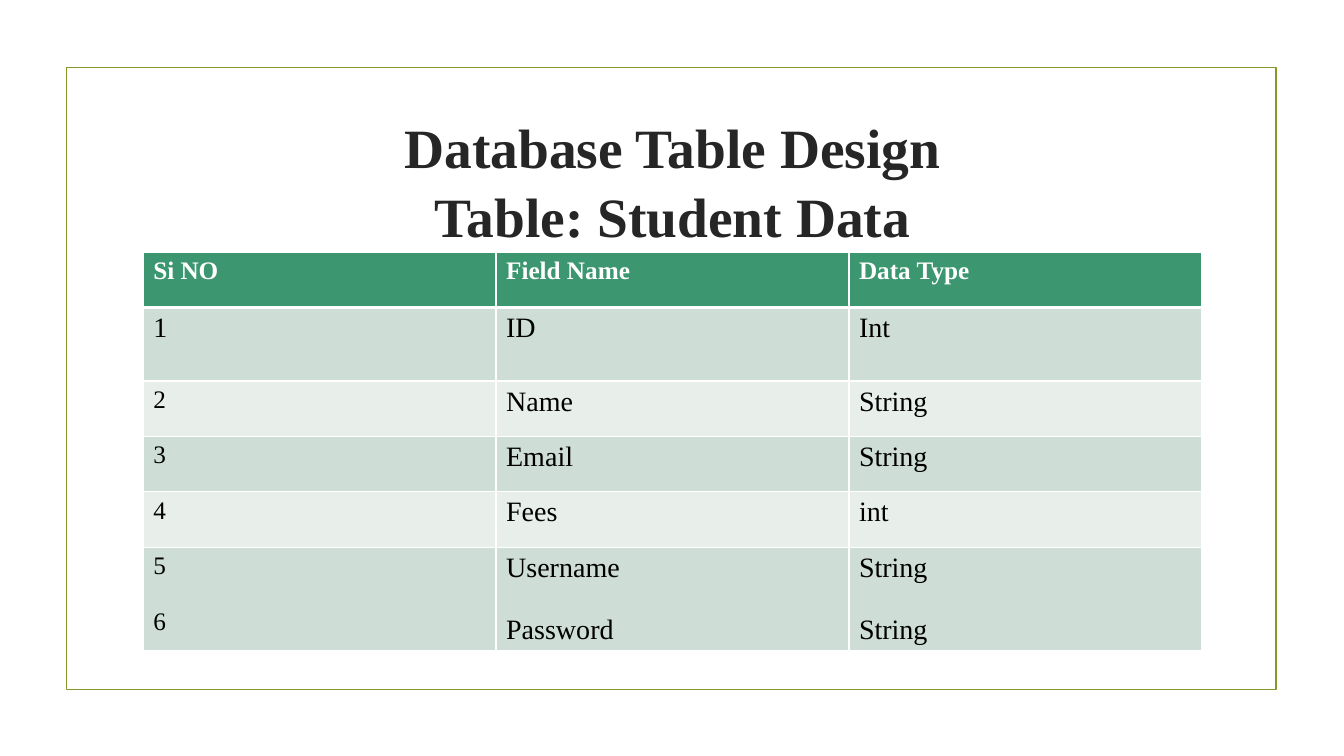
from dataclasses import dataclass

from lxml import etree
from pptx import Presentation, util as u
from pptx.dml.color import RGBColor
from pptx.enum import shapes, text
from pptx.oxml.ns import qn


@dataclass(frozen=True)
class Theme:
    face: str = "Times New Roman"
    frame: str = "83992A"
    ink: str = "262626"
    body: str = "000000"
    white: str = "FFFFFF"
    head: str = "3C9770"
    bands: tuple = ("CEDDD5", "E8EFEB")
    title: float = 39.6
    small: int = 18
    large: int = 20


THEME = Theme()
WIDE, HIGH = 13.33, 7.5
FRAME = (0.66, 0.67, 12, 6.17)
TITLE = (1.42, 1.07, 10.5, 1.43)
GRID = (1.42, 2.5, 10.5, 3.95)
HEIGHTS = (0.55, 0.73, 0.55, 0.55, 0.55, 1.02)
ROWS = (
    ("Si NO", "Field Name", "Data Type"),
    ("1", "ID", "Int"),
    ("2", "Name", "String"),
    ("3", "Email", "String"),
    ("4", "Fees", "int"),
    ("5\n6", "Username\nPassword", "String\nString"),
)


def style(font, size, color, bold=False):
    form = {"name": THEME.face, "size": u.Pt(size), "bold": bold}
    for key, value in form.items():
        setattr(font, key, value)
    font.color.rgb = RGBColor.from_string(color)


def add_frame(slide, box):
    frame = slide.shapes.add_shape(shapes.MSO_SHAPE.RECTANGLE, *map(u.Inches, box))
    frame.shadow.inherit = False
    frame.fill.background()
    frame.line.color.rgb = RGBColor.from_string(THEME.frame)
    frame.line.width = u.Pt(1.25)


def set_title(slide, box):
    title = slide.shapes.title
    for key, value in zip(("left", "top", "width", "height"), box):
        setattr(title, key, u.Inches(value))
    frame = title.text_frame
    frame.vertical_anchor = text.MSO_ANCHOR.MIDDLE
    frame.word_wrap = True
    frame.text = "Database Table Design\vTable: Student Data"
    par = frame.paragraphs[0]
    par.alignment = text.PP_ALIGN.CENTER
    par.line_spacing = 1.03
    for run in par.runs:
        style(run.font, THEME.title, THEME.ink, True)


def add_edges(cell, base):
    """Draw white cell borders, with the given bottom width in points."""
    props = cell._tc.get_or_add_tcPr()
    for side, width in zip("LRTB", (1, 1, 1, base)):
        line = etree.SubElement(props, qn(f"a:ln{side}"), w=str(u.Pt(width)))
        fill = etree.SubElement(line, qn("a:solidFill"))
        etree.SubElement(fill, qn("a:srgbClr"), val=THEME.white)


def fill_cell(cell, words, row, col):
    head = row == 0
    small = head or (col == 0 and row > 1)
    size = THEME.small if small else THEME.large
    add_edges(cell, 3 if head else 1)
    cell.fill.solid()
    shade = THEME.head if head else THEME.bands[(row - 1) % 2]
    cell.fill.fore_color.rgb = RGBColor.from_string(shade)
    cell.text = words
    for i, par in enumerate(cell.text_frame.paragraphs):
        par.space_before = u.Pt(i * size * 1.1)
        for run in par.runs:
            style(run.font, size, THEME.white if head else THEME.body, head)


def add_grid(slide, box):
    count = len(ROWS[0])
    table = slide.shapes.add_table(len(ROWS), count, *map(u.Inches, box)).table
    for col in table.columns:
        col.width = u.Inches(box[2] / count)
    for r, (high, words) in enumerate(zip(HEIGHTS, ROWS)):
        table.rows[r].height = u.Inches(high)
        for c, word in enumerate(words):
            fill_cell(table.cell(r, c), word, r, c)


def main():
    deck = Presentation()
    deck.slide_width, deck.slide_height = u.Inches(WIDE), u.Inches(HIGH)
    slide = deck.slides.add_slide(deck.slide_layouts[5])
    add_frame(slide, FRAME)
    set_title(slide, TITLE)
    add_grid(slide, GRID)
    deck.save("out.pptx")


if __name__ == "__main__":
    main()
